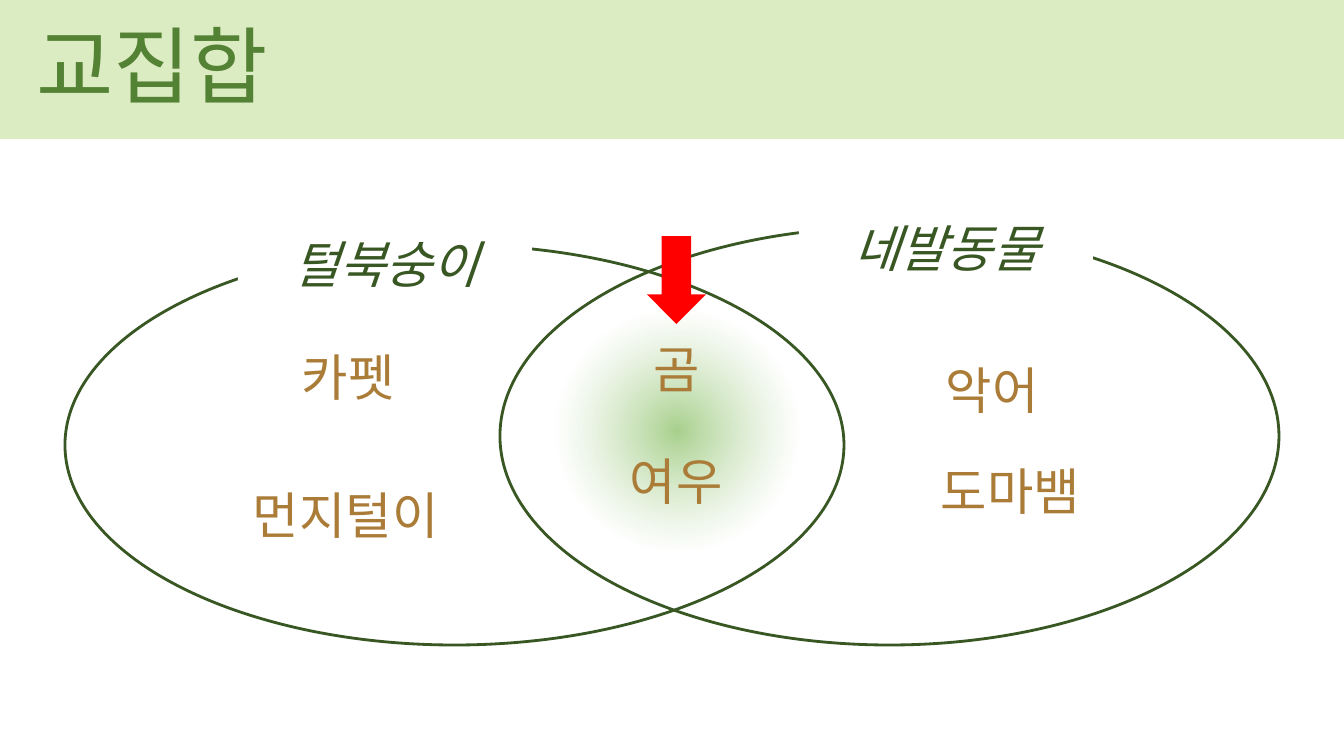
from pptx import Presentation
from pptx.dml.color import RGBColor
from pptx.enum.shapes import MSO_SHAPE
from pptx.enum.text import MSO_ANCHOR, MSO_AUTO_SIZE, PP_ALIGN
from pptx.oxml import parse_xml
from pptx.oxml.ns import nsdecls, qn
from pptx.util import Pt

PX = 12192000 / 1344


def px(*values):
    return [round(v * PX) for v in values]


def rgb(code):
    return RGBColor.from_string(code)


class VennSlide:
    """Holds the style and the current slide, and draws each kind of element."""

    font = "Noto Sans CJK KR"
    title_color = "548235"
    band_color = "DCECC2"
    set_color = "385723"
    item_color = "AA7C38"

    def __init__(self, prs):
        self.s = prs.slides.add_slide(prs.slide_layouts[5])

    def set_text(self, sp, text, size, color, align=PP_ALIGN.LEFT,
                 anchor=MSO_ANCHOR.TOP, italic=None):
        tf = sp.text_frame
        tf.text = text
        tf.word_wrap = True
        tf.auto_size = MSO_AUTO_SIZE.SHAPE_TO_FIT_TEXT
        tf.vertical_anchor = anchor
        p = tf.paragraphs[0]
        p.alignment = align
        r = p.runs[0]
        r.font.size = Pt(size)
        r.font.italic = italic
        r.font.color.rgb = rgb(color)
        r.font.name = self.font
        ea = parse_xml(f'<a:ea {nsdecls("a")} typeface="{self.font}"/>')
        r.font._element.append(ea)

    def shape(self, kind, box, fill=None, line=None):
        sp = self.s.shapes.add_shape(kind, *px(*box))
        sp.shadow.inherit = False
        if fill:
            sp.fill.solid()
            sp.fill.fore_color.rgb = rgb(fill)
        else:
            sp.fill.background()
        if line:
            sp.line.color.rgb = rgb(line)
            sp.line.width = Pt(2)
        else:
            sp.line.fill.background()
        return sp

    def glow(self, box):
        sp = self.shape(MSO_SHAPE.OVAL, box)
        no_fill = sp.element.spPr.find(qn("a:noFill"))
        no_fill.getparent().replace(no_fill, parse_xml(
            f'<a:gradFill {nsdecls("a")} rotWithShape="1"><a:gsLst>'
            '<a:gs pos="0"><a:srgbClr val="A9D18E"/></a:gs>'
            '<a:gs pos="68000"><a:srgbClr val="C5E0B4"><a:alpha val="0"/></a:srgbClr></a:gs>'
            '</a:gsLst><a:path path="circle">'
            '<a:fillToRect l="50000" t="50000" r="50000" b="50000"/>'
            '</a:path></a:gradFill>'))
        return sp

    def title(self, text, box, behind):
        sp = self.s.shapes.title
        sp.left, sp.top, sp.width, sp.height = px(*box)
        self.set_text(sp, text, 60, self.title_color)
        for back in behind:
            sp.element.addprevious(back.element)

    def circle(self, box):
        self.shape(MSO_SHAPE.OVAL, box, line=self.set_color)

    def set_name(self, text, x, y):
        sp = self.shape(MSO_SHAPE.RECTANGLE, (x, y, 294, 72), "FFFFFF")
        self.set_text(sp, text, 36, self.set_color, PP_ALIGN.CENTER,
                      MSO_ANCHOR.MIDDLE, True)

    def item(self, text, x, y, w):
        sp = self.s.shapes.add_textbox(*px(x, y, w, 72))
        self.set_text(sp, text, 36, self.item_color)


def main():
    prs = Presentation()
    prs.slide_width, prs.slide_height = px(1344, 756)
    venn = VennSlide(prs)
    glow = venn.glow((544, 311, 266, 240))
    band = venn.shape(MSO_SHAPE.RECTANGLE, (0, 0, 1344, 139), venn.band_color)
    venn.title("교집합", (26, 8, 1225, 112), (glow, band))

    venn.circle((65, 245, 779, 400))
    venn.set_name("털북숭이", 238, 227)
    venn.item("카펫", 292, 341, 138)
    venn.item("먼지털이", 243, 479, 223)

    venn.circle((500, 227, 779, 418))
    venn.item("곰", 644, 333, 81)
    venn.set_name("네발동물", 799, 211)
    for text, x, y in (("도마뱀", 931, 455), ("여우", 620, 445), ("악어", 936, 354)):
        venn.item(text, x, y, 172)

    venn.shape(MSO_SHAPE.DOWN_ARROW, (647, 236, 59, 88), "FF0000")
    prs.save("out.pptx")


if __name__ == "__main__":
    main()
